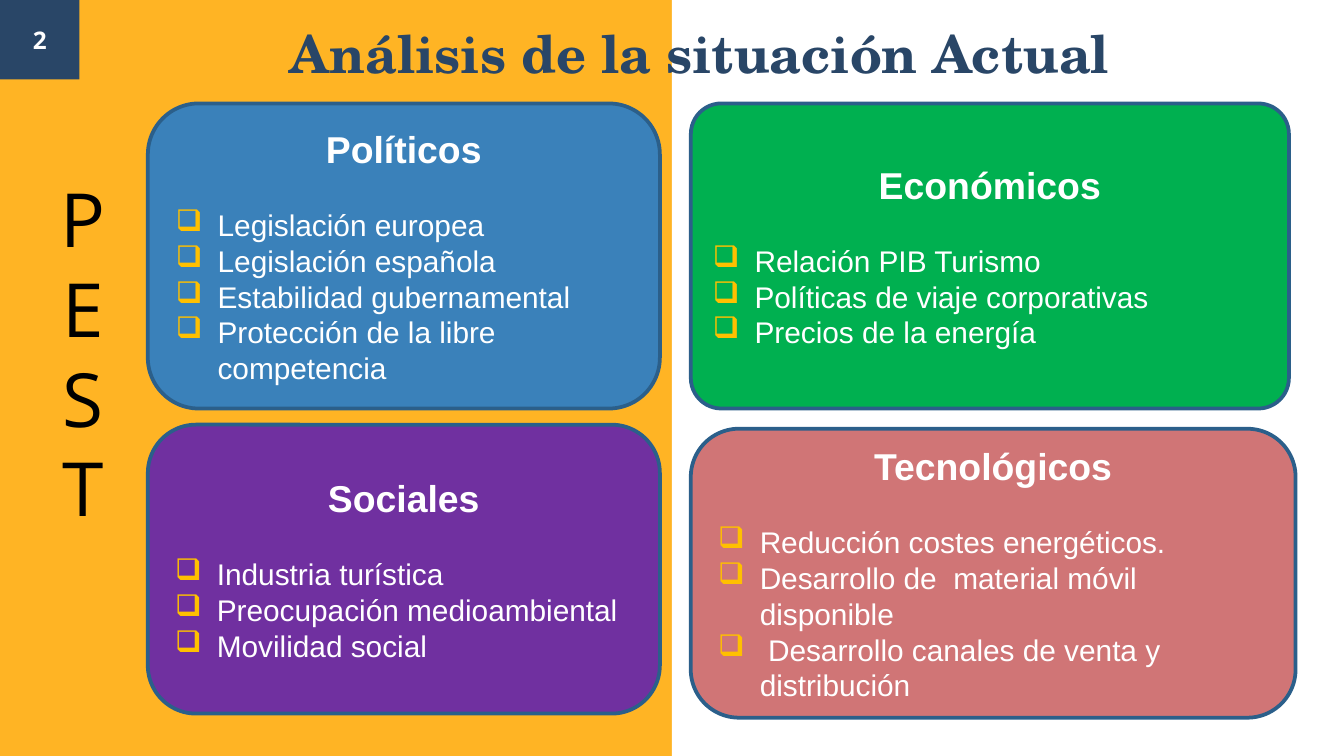
from dataclasses import dataclass

from lxml.etree import SubElement
from pptx import Presentation
from pptx.dml.color import RGBColor
from pptx.enum.shapes import MSO_SHAPE as Preset
from pptx.enum.text import MSO_ANCHOR as Anchor, PP_ALIGN as Align
from pptx.oxml.ns import qn
from pptx.util import Inches, Pt


@dataclass(frozen=True)
class Theme:
    orange: str = "FFA800"
    orange_opacity: int = 86
    white: str = "FFFFFF"
    black: str = "000000"
    navy: str = "294667"
    outline: str = "2B5F8A"
    bullet: str = "FFC000"
    title_font: str = "TeX Gyre Schola"
    label_font: str = "Open Sans"
    body_font: str = "Arial"
    title_size: int = 28
    acronym_size: int = 40
    acronym_pitch: int = 48
    heading_size: int = 20
    heading_gap: int = 19
    body_size: int = 16
    number_size: int = 13


@dataclass(frozen=True)
class Box:
    left: float
    top: float
    width: float
    height: float

    def lengths(self) -> list:
        return [Inches(n) for n in (self.left, self.top, self.width, self.height)]


@dataclass(frozen=True)
class Panel:
    box: Box
    color: str
    heading: str
    items: tuple[str, ...]
    rounding: float = 0.167


THEME = Theme()
SLIDE_WIDTH, SLIDE_HEIGHT = 10, 45 / 8  # 16:9
HALF = SLIDE_WIDTH / 2
LEFT, RIGHT = 1.1, 5.14
PANELS = (
    Panel(Box(LEFT, 0.77, 3.81, 2.27), "3A81BA", "Políticos",
          ("Legislación europea", "Legislación española",
           "Estabilidad gubernamental", "Protección de la libre competencia")),
    Panel(Box(RIGHT, 0.77, 4.45, 2.27), "00B050", "Económicos",
          ("Relación PIB Turismo", "Políticas de viaje corporativas",
           "Precios de la energía"), rounding=0.1),
    Panel(Box(LEFT, 3.16, 3.81, 2.15), "7030A0", "Sociales",
          ("Industria turística", "Preocupación medioambiental",
           "Movilidad social")),
    Panel(Box(RIGHT, 3.19, 4.5, 2.15), "D07576", "Tecnológicos",
          ("Reducción costes energéticos.",
           "Desarrollo de  material móvil disponible",
           " Desarrollo canales de venta y distribución")),
)


def add_block(slide, box: Box, color: str, preset=Preset.RECTANGLE):
    shape = slide.shapes.add_shape(preset, *box.lengths())
    shape.shadow.inherit = False
    shape.fill.solid()
    shape.fill.fore_color.rgb = RGBColor.from_string(color)
    shape.line.fill.background()
    return shape


def set_opacity(shape, percent: int) -> None:
    color = shape._element.spPr.find(qn("a:solidFill"))[0]
    SubElement(color, qn("a:alpha"), val=str(percent * 1000))


def write(paragraph, text: str, *, font: str, size: int, color: str,
          bold: bool = False, align=Align.CENTER) -> None:
    paragraph.alignment = align
    run = paragraph.add_run()
    run.text = text
    run.font.name = font
    run.font.size = Pt(size)
    run.font.bold = bold
    run.font.color.rgb = RGBColor.from_string(color)


def add_label(slide, box: Box, text: str, anchor=Anchor.MIDDLE, **text_format):
    """Add a one-paragraph text box without margins and return its paragraph."""
    frame = slide.shapes.add_textbox(*box.lengths()).text_frame
    frame.word_wrap = True
    frame.vertical_anchor = anchor
    frame.margin_left = frame.margin_right = 0
    frame.margin_top = frame.margin_bottom = 0
    paragraph = frame.paragraphs[0]
    write(paragraph, text, **text_format)
    return paragraph


def add_bullet(paragraph, symbol: str = "❑", indent: float = 0.31) -> None:
    properties = paragraph._p.get_or_add_pPr()
    properties.set("marL", str(Inches(indent)))
    properties.set("indent", str(-Inches(indent)))
    color = SubElement(properties, qn("a:buClr"))
    SubElement(color, qn("a:srgbClr"), val=THEME.bullet)
    SubElement(properties, qn("a:buChar"), char=symbol)


def add_panel(slide, panel: Panel) -> None:
    shape = add_block(slide, panel.box, panel.color, Preset.ROUNDED_RECTANGLE)
    shape.adjustments[0] = panel.rounding
    shape.line.color.rgb = RGBColor.from_string(THEME.outline)
    shape.line.width = Pt(2)
    frame = shape.text_frame
    frame.word_wrap = True
    frame.vertical_anchor = Anchor.MIDDLE
    heading = frame.paragraphs[0]
    write(heading, panel.heading, font=THEME.body_font, size=THEME.heading_size,
          color=THEME.white, bold=True)
    heading.space_after = Pt(THEME.heading_gap)
    for item in panel.items:
        paragraph = frame.add_paragraph()
        write(paragraph, item, font=THEME.body_font, size=THEME.body_size,
              color=THEME.white, align=Align.LEFT)
        add_bullet(paragraph)


def main() -> None:
    presentation = Presentation()
    presentation.slide_width = Inches(SLIDE_WIDTH)
    presentation.slide_height = Inches(SLIDE_HEIGHT)
    slide = presentation.slides.add_slide(presentation.slide_layouts[6])

    left_half = add_block(slide, Box(0, 0, HALF, SLIDE_HEIGHT), THEME.orange)
    set_opacity(left_half, THEME.orange_opacity)
    add_block(slide, Box(HALF, 0, HALF, SLIDE_HEIGHT), THEME.white)
    number_box = Box(0, 0, 0.59, 0.59)
    add_block(slide, number_box, THEME.navy)
    add_label(slide, number_box, "2", font=THEME.label_font,
              size=THEME.number_size, color=THEME.white, bold=True)

    add_label(slide, Box(1.84, 0.06, 6.73, 0.66), "Análisis de la situación Actual",
              font=THEME.title_font, size=THEME.title_size, color=THEME.navy,
              bold=True)
    # The box is one letter wide, so the word runs downwards.
    acronym = add_label(slide, Box(0.42, 1.29, 0.4, 2.67), "PEST", Anchor.TOP,
                        font=THEME.label_font, size=THEME.acronym_size,
                        color=THEME.black)
    acronym.line_spacing = Pt(THEME.acronym_pitch)

    for panel in PANELS:
        add_panel(slide, panel)
    presentation.save("out.pptx")


if __name__ == "__main__":
    main()
